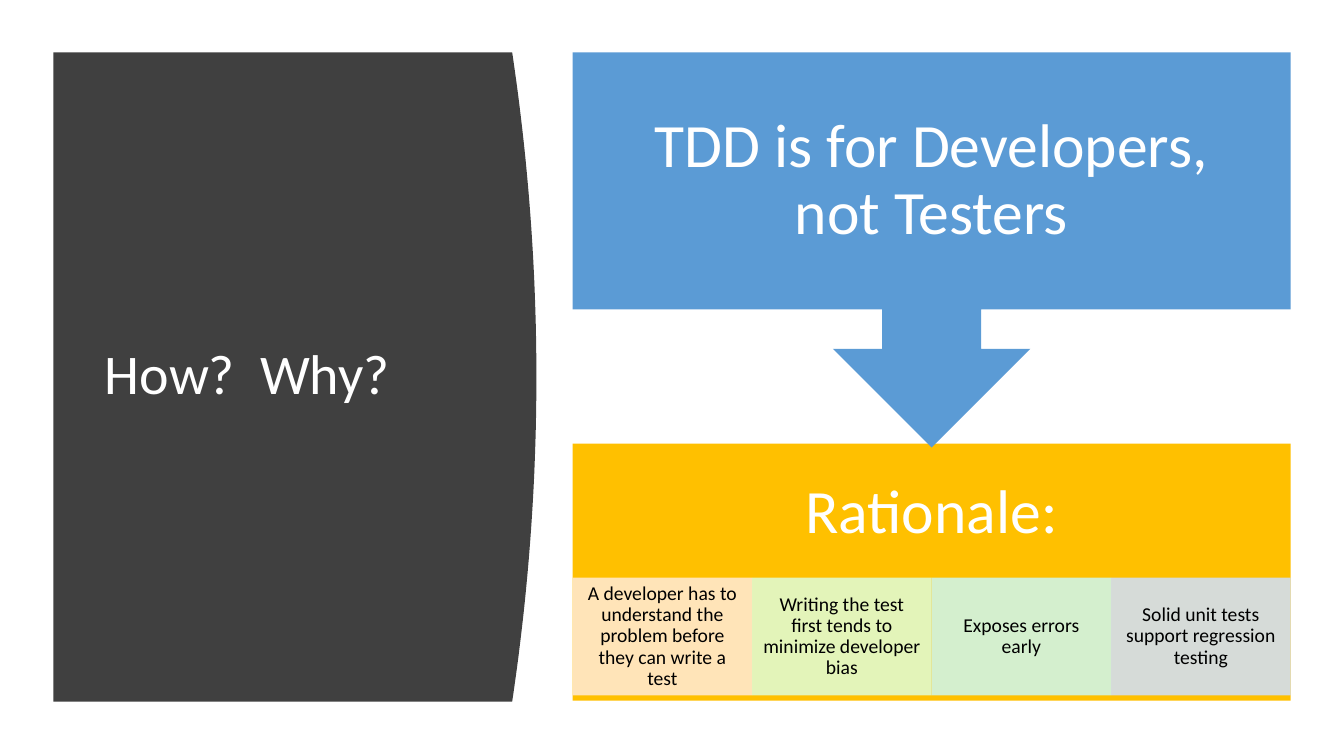
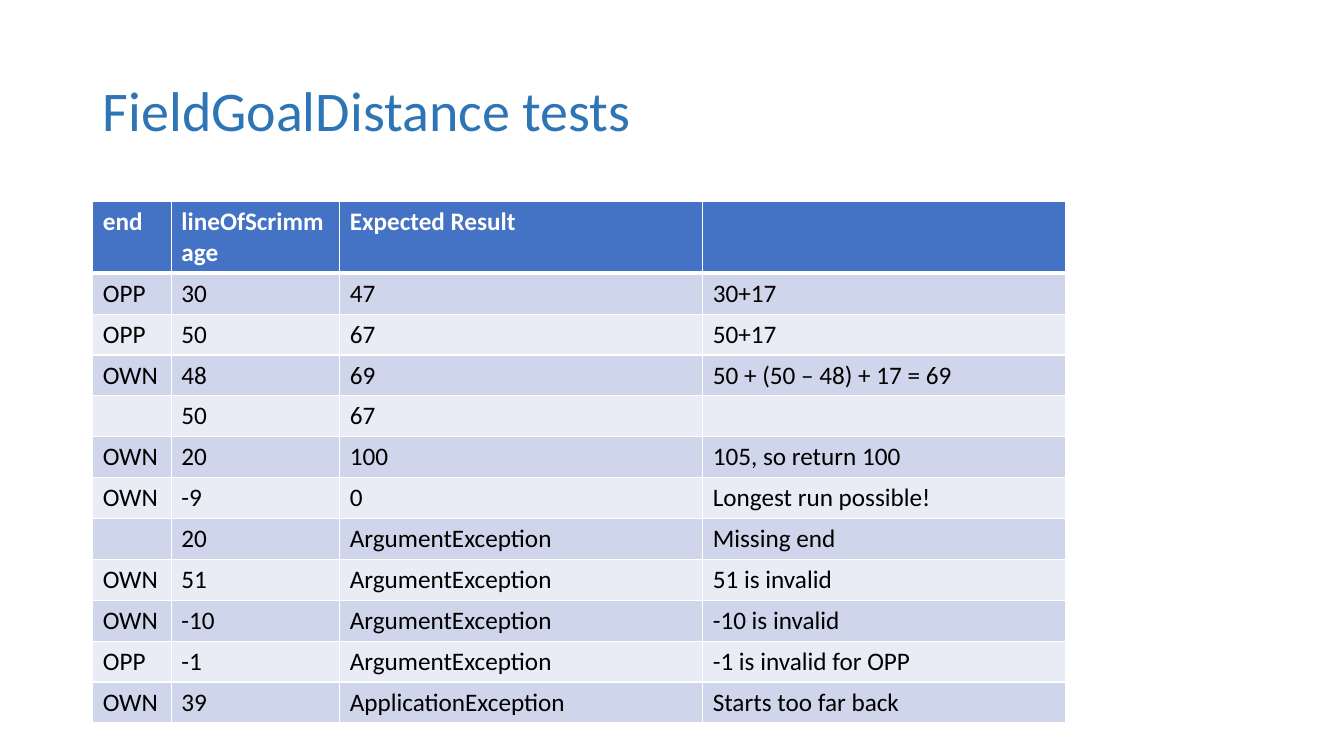
from lxml import etree
from pptx import Presentation
from pptx.dml.color import RGBColor
from pptx.enum.shapes import MSO_SHAPE
from pptx.enum.text import MSO_ANCHOR, MSO_AUTO_SIZE, PP_ALIGN
from pptx.oxml.ns import qn
from pptx.util import Inches, Pt

RECTANGLE = MSO_SHAPE.RECTANGLE
CALLOUT = MSO_SHAPE.DOWN_ARROW_CALLOUT
MIDDLE = MSO_ANCHOR.MIDDLE
LEFT, CENTER = PP_ALIGN.LEFT, PP_ALIGN.CENTER
NO_AUTOFIT = MSO_AUTO_SIZE.NONE
TITLE_ONLY = 5

WHITE, BLACK, CHARCOAL = "FFFFFF", "000000", "404040"
BLUE, TITLE_BLUE, GOLD = "5B9BD5", "2E75B6", "FFC000"
HEADER, BANDS = "4472C4", ("E9EBF5", "CFD5EA")


def color(hex_text):
    """Turn a hex string into a colour."""
    return RGBColor.from_string(hex_text)


class Deck:
    """Holds the shared style and the current slide."""

    font_name = "Calibri"
    title_size = 40

    def __init__(self, width, height):
        """Start an empty presentation of the given size."""
        self.deck = Presentation()
        self.deck.slide_width, self.deck.slide_height = Inches(width), Inches(height)
        self.page = None

    def style(self, para, size, hex_text, align=LEFT, bold=False):
        """Format one paragraph."""
        para.alignment = align
        para.font.name = self.font_name
        para.font.size = Pt(size)
        para.font.bold = bold
        para.font.color.rgb = color(hex_text)

    def add_page(self, title, at, hex_text):
        """Add a slide with its title placed and coloured."""
        self.page = self.deck.slides.add_slide(self.deck.slide_layouts[TITLE_ONLY])
        box = self.page.shapes.title
        box.left, box.top, box.width, box.height = map(Inches, at)
        frame = box.text_frame
        frame.text = title
        frame.auto_size = NO_AUTOFIT
        frame.word_wrap = True
        frame.vertical_anchor = MIDDLE
        para = frame.paragraphs[0]
        para.line_spacing = 0.9
        self.style(para, self.title_size, hex_text)

    def paint(self, shape, fill, alpha=None):
        """Give a shape a flat fill without line or shadow."""
        shape.shadow.inherit = False
        shape.line.fill.background()
        shape.fill.solid()
        shape.fill.fore_color.rgb = color(fill)
        if alpha:
            tint = shape.element.spPr.find(f"{qn('a:solidFill')}/{qn('a:srgbClr')}")
            etree.SubElement(tint, qn("a:alpha"), val=str(alpha * 1000))

    def curved_panel(self, left, top, width, height, bulge, fill, steps=60):
        """Draw a panel with a bulging right edge behind the title."""
        edge = []
        for step in range(steps + 1):
            part = step / steps
            reach = width + bulge * (1 - (2 * part - 1) ** 2)
            edge.append((Inches(left + reach), Inches(top + height * part)))
        outline = self.page.shapes.build_freeform(Inches(left), Inches(top))
        outline.add_line_segments(edge + [(Inches(left), Inches(top + height))])
        panel = outline.convert_to_shape()
        self.paint(panel, fill)
        self.page.shapes.title.element.addprevious(panel.element)

    def block(self, kind, at, text, fill, size, hex_text, insets, alpha=None):
        """Add a filled shape with centred text."""
        shape = self.page.shapes.add_shape(kind, *map(Inches, at))
        self.paint(shape, fill, alpha)
        frame = shape.text_frame
        frame.word_wrap = True
        frame.vertical_anchor = MIDDLE
        (frame.margin_left, frame.margin_top,
         frame.margin_right, frame.margin_bottom) = map(Inches, insets)
        frame.text = text
        para = frame.paragraphs[0]
        para.line_spacing = 0.9
        self.style(para, size, hex_text, CENTER)
        return shape

    def border(self, cell, side, width):
        """Draw one white cell edge."""
        line = etree.SubElement(cell._tc.get_or_add_tcPr(), qn(f"a:ln{side}"), w=str(Pt(width)))
        fill = etree.SubElement(line, qn("a:solidFill"))
        etree.SubElement(fill, qn("a:srgbClr"), val=WHITE)

    def table(self, left, top, widths, header_height, row_height, rows, size=18):
        """Add a banded table whose first row is the header."""
        heights = [header_height] + [row_height] * (len(rows) - 1)
        frame = self.page.shapes.add_table(
            len(rows), len(widths), Inches(left), Inches(top),
            Inches(sum(widths)), Inches(sum(heights)))
        grid = frame.table
        for column, width in zip(grid.columns, widths):
            column.width = Inches(width)
        for index, values in enumerate(rows):
            grid.rows[index].height = Inches(heights[index])
            is_header = index == 0
            edges = {"L": 1, "R": 1, "T": 3 if index == 1 else 1, "B": 3 if is_header else 1}
            for position, value in enumerate(values):
                cell = grid.cell(index, position)
                for side, width in edges.items():
                    self.border(cell, side, width)
                cell.fill.solid()
                cell.fill.fore_color.rgb = color(HEADER if is_header else BANDS[index % 2])
                cell.text = value
                self.style(cell.text_frame.paragraphs[0], size,
                           WHITE if is_header else BLACK, bold=is_header)


REASONS = [
    ("A developer has to understand the problem before they can write a test", "FFE8CC"),
    ("Writing the test first tends to minimize developer bias", "E1FACE"),
    ("Exposes errors early", "D0F5E5"),
    ("Solid unit tests support regression testing", "D2DFF0"),
]
TESTS = [
    ("end", "lineOfScrimmage", "Expected Result", ""),
    ("OPP", "30", "47", "30+17"),
    ("OPP", "50", "67", "50+17"),
    ("OWN", "48", "69", "50 + (50 – 48) + 17 = 69"),
    ("", "50", "67", ""),
    ("OWN", "20", "100", "105, so return 100"),
    ("OWN", "-9", "0", "Longest run possible!"),
    ("", "20", "ArgumentException", "Missing end"),
    ("OWN", "51", "ArgumentException", "51 is invalid"),
    ("OWN", "-10", "ArgumentException", "-10 is invalid"),
    ("OPP", "-1", "ArgumentException", "-1 is invalid for OPP"),
    ("OWN", "39", "ApplicationException", "Starts too far back"),
]

show = Deck(13.33, 7.5)

show.add_page("How?  Why?", (0.94, 1.11, 3.74, 5.24), WHITE)
show.curved_panel(0.53, 0.52, 4.55, 6.44, 0.24, CHARCOAL)
block_left, block_width = 5.68, 7.12
show.block(RECTANGLE, (block_left, 4.4, block_width, 2.55), "Rationale:",
           GOLD, 44, WHITE, (0.34, 0.34, 0.34, 1.51))
tile_width = block_width / len(REASONS)
for number, (reason, tile_fill) in enumerate(REASONS):
    show.block(RECTANGLE, (block_left + number * tile_width, 5.73, tile_width, 1.17),
               reason, tile_fill, 14, BLACK, (0.11, 0.02, 0.11, 0.02), alpha=90)
callout = show.block(CALLOUT, (block_left, 0.52, block_width, 3.92),
                     "TDD is for Developers, not Testers", BLUE, 44, WHITE, (0.34,) * 4)
for number, ratio in enumerate((0.25, 0.25, 0.25, 0.65)):
    callout.adjustments[number] = ratio

show.add_page("FieldGoalDistance tests", (0.92, 0.4, 11.5, 1.45), TITLE_BLUE)
show.table(0.92, 2, (0.78, 1.67, 3.6, 3.6), 0.7, 0.4, TESTS)

show.deck.save("out.pptx")
